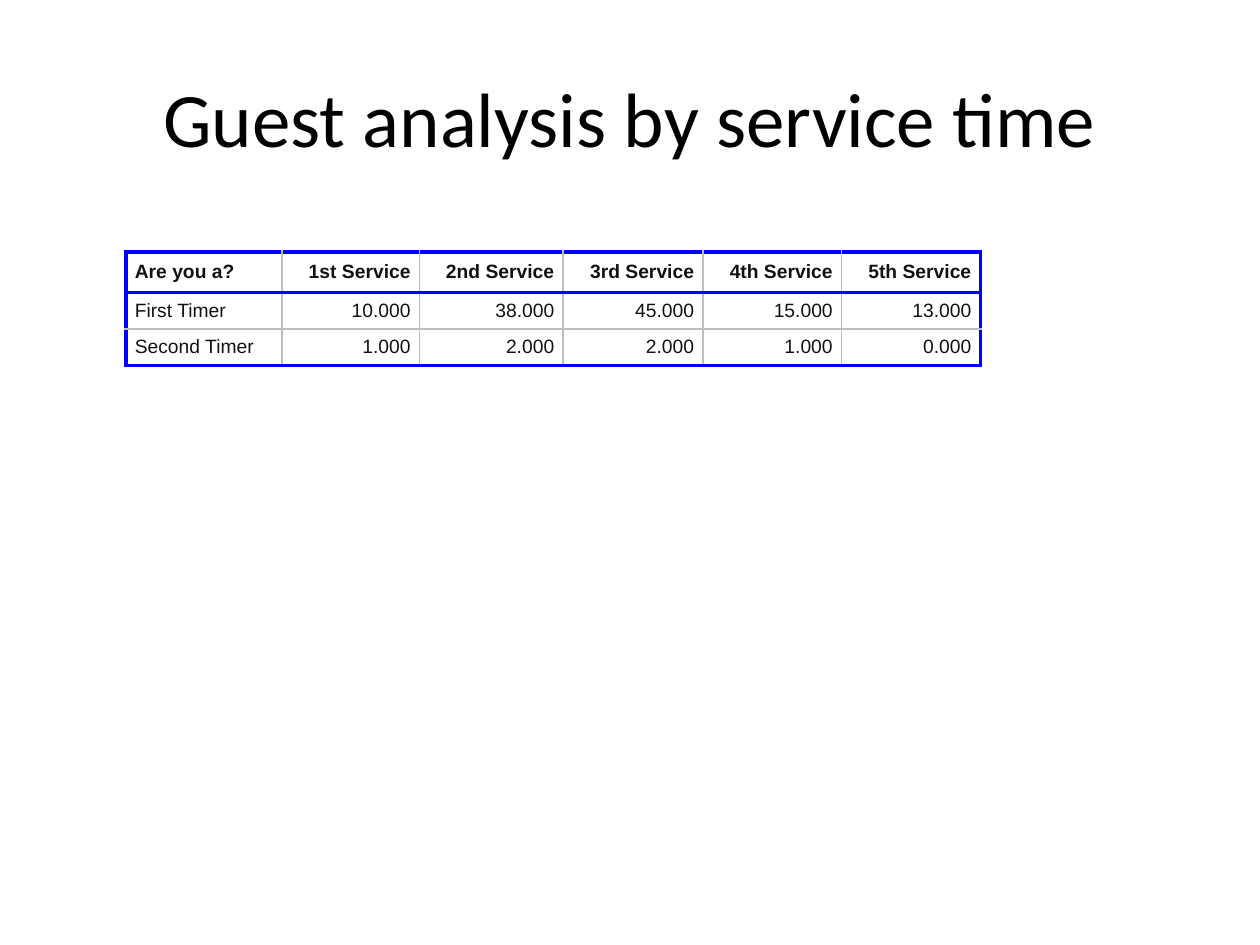
import pptx
import pptx.util
import pptx.dml.color
import pptx.enum.text
import lxml.etree
from pptx.util import Inches

BLACK = pptx.dml.color.RGBColor(0x00, 0x00, 0x00)
INK = pptx.dml.color.RGBColor(0x11, 0x11, 0x11)
BLUE = pptx.dml.color.RGBColor(0x00, 0x00, 0xFF)
GRAY = pptx.dml.color.RGBColor(0xBE, 0xBE, 0xBE)
ALIGN = pptx.enum.text.PP_ALIGN
MIDDLE = pptx.enum.text.MSO_ANCHOR.MIDDLE


def add_run(para, text, font, size, color, bold=False):
    run = para.add_run()
    run.text = text
    run.font.name = font
    run.font.size = pptx.util.Pt(size)
    run.font.color.rgb = color
    run.font.bold = bold


def add_edge(cell, side, strong):
    props = cell._tc.get_or_add_tcPr()
    width = pptx.util.Pt(2 if strong else 1)
    line = lxml.etree.SubElement(props, pptx.oxml.ns.qn("a:ln" + side), w=str(width))
    fill = lxml.etree.SubElement(line, pptx.oxml.ns.qn("a:solidFill"))
    color = BLUE if strong else GRAY
    lxml.etree.SubElement(fill, pptx.oxml.ns.qn("a:srgbClr"), val=str(color))


deck = pptx.Presentation()
deck.slide_width = Inches(10)
deck.slide_height = Inches(7.5)
slide = deck.slides.add_slide(deck.slide_layouts[5])

title = slide.shapes.title
title.left, title.top = Inches(0.5), Inches(0.3)
title.width, title.height = Inches(9), Inches(1.25)
title.text_frame.vertical_anchor = MIDDLE
para = title.text_frame.paragraphs[0]
para.alignment = ALIGN.CENTER
add_run(para, "Guest analysis by service time", "Calibri", 44, BLACK)

rows = [
    ["Are you a?", "1st Service", "2nd Service", "3rd Service", "4th Service", "5th Service"],
    ["First Timer", "10.000", "38.000", "45.000", "15.000", "13.000"],
    ["Second Timer", "1.000", "2.000", "2.000", "1.000", "0.000"],
]
widths = [1.24, 1.09, 1.14, 1.11, 1.1, 1.1]
heights = [0.32, 0.29, 0.29]
frame = slide.shapes.add_table(
    len(rows), len(widths), Inches(1), Inches(2), Inches(sum(widths)), Inches(sum(heights))
)
table = frame.table
table.horz_banding = False
for col, width in zip(table.columns, widths):
    col.width = Inches(width)
for row, height in zip(table.rows, heights):
    row.height = Inches(height)

last_row, last_col = len(rows) - 1, len(widths) - 1
for i, row in enumerate(rows):
    for j, text in enumerate(row):
        cell = table.cell(i, j)
        cell.margin_left = cell.margin_right = Inches(0.07)
        cell.margin_top = cell.margin_bottom = 0
        cell.vertical_anchor = MIDDLE
        add_edge(cell, "L", j == 0)
        add_edge(cell, "R", j == last_col)
        add_edge(cell, "T", i <= 1)
        add_edge(cell, "B", i in (0, last_row))
        cell.fill.background()
        para = cell.text_frame.paragraphs[0]
        para.alignment = ALIGN.RIGHT if j else ALIGN.LEFT
        para.space_before = para.space_after = pptx.util.Pt(2)
        add_run(para, text, "Arial", 11, INK, i == 0)

deck.save("out.pptx")
